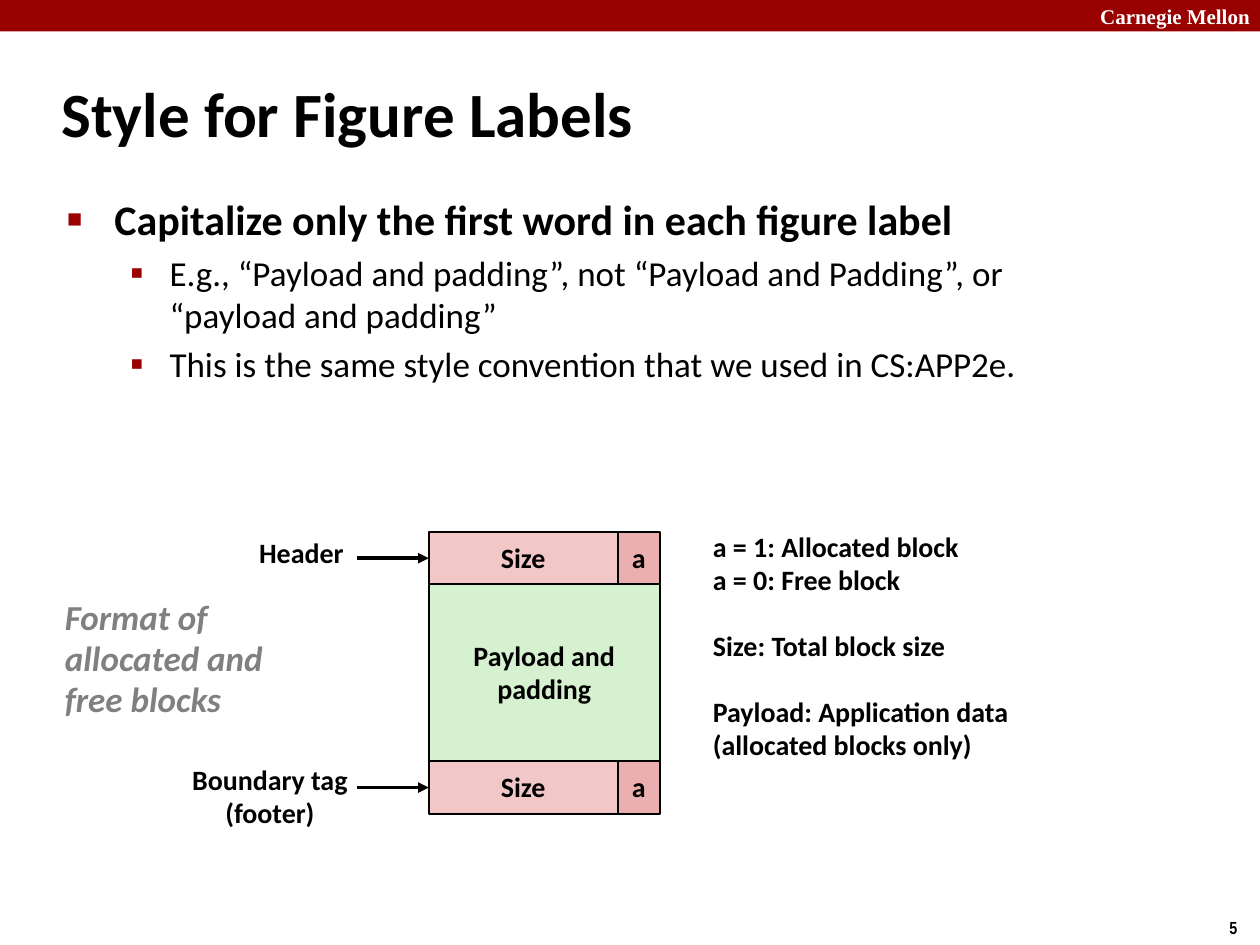
from dataclasses import dataclass
from typing import Any

import pptx
import pptx.dml.color
import pptx.enum.shapes
import pptx.enum.text
import pptx.oxml
import pptx.oxml.ns
import pptx.util

Pt = pptx.util.Pt
ALIGN = pptx.enum.text.PP_ALIGN
ANCHOR = pptx.enum.text.MSO_ANCHOR
SHAPE = pptx.enum.shapes.MSO_SHAPE
NS = pptx.oxml.ns.nsdecls("a")
COLORS = {
    "bar": "990000", "white": "FFFFFF", "black": "000000", "gray": "808080",
    "size": "F1C7C7", "flag": "EBAFAF", "payload": "D5F1CF",
}
LABEL = {"name": "Calibri", "size": Pt(16), "bold": True}
CAPTION = {"name": "Calibri", "size": Pt(20), "bold": True, "italic": True}
TITLE = {"name": "Calibri", "size": Pt(36), "bold": True}
HEAD = {"name": "Calibri", "size": Pt(24), "bold": True}
POINT = {"name": "Calibri", "size": Pt(20), "bold": False}
SCHOOL = {"name": "Times New Roman", "size": Pt(12), "bold": True}
NUMBER = {"name": "Arial Narrow", "size": Pt(10), "bold": True}


@dataclass
class Line:
    text: str
    before: float = 0


@dataclass
class Box:
    x: float
    y: float
    w: float
    h: float
    lines: list[Line]
    font: dict[str, Any]
    color: str = "black"
    align: Any = ALIGN.LEFT
    anchor: Any = ANCHOR.TOP
    spacing: float = 0.98
    margin_right: float = 7.2


@dataclass
class Bullet:
    text: str
    font: dict[str, Any]
    char: str
    percent: int
    left: float
    hang: float
    before: float


@dataclass
class Cell:
    x: float
    y: float
    w: float
    h: float
    fill: str
    lines: list[Line]


def rgb(key: str) -> Any:
    return pptx.dml.color.RGBColor.from_string(COLORS[key])


def set_font(font: Any, values: dict[str, Any], color: str) -> None:
    for name, value in values.items():
        setattr(font, name, value)
    font.color.rgb = rgb(color)


def write(tf: Any, box: Box) -> None:
    tf.word_wrap = False
    tf.vertical_anchor = box.anchor
    tf.margin_right = Pt(box.margin_right)
    for i, line in enumerate(box.lines):
        p = tf.paragraphs[0] if i == 0 else tf.add_paragraph()
        p.alignment = box.align
        p.line_spacing = box.spacing
        if line.before:
            p.space_before = Pt(line.before)
        r = p.add_run()
        r.text = line.text
        set_font(r.font, box.font, box.color)


def add_text(s: Any, box: Box) -> None:
    sp = s.shapes.add_textbox(Pt(box.x), Pt(box.y), Pt(box.w), Pt(box.h))
    write(sp.text_frame, box)


def add_rect(s: Any, x: float, y: float, w: float, h: float, fill: str) -> Any:
    sp = s.shapes.add_shape(SHAPE.RECTANGLE, Pt(x), Pt(y), Pt(w), Pt(h))
    sp.shadow.inherit = False
    sp.fill.solid()
    sp.fill.fore_color.rgb = rgb(fill)
    return sp


def add_cell(s: Any, c: Cell) -> Any:
    sp = add_rect(s, c.x, c.y, c.w, c.h, c.fill)
    sp.line.color.rgb = rgb("black")
    sp.line.width = Pt(1)
    write(sp.text_frame, Box(c.x, c.y, c.w, c.h, c.lines, LABEL,
                             align=ALIGN.CENTER, anchor=ANCHOR.MIDDLE))
    return sp


def add_bullets(s: Any, bullets: list[Bullet]) -> None:
    tf = s.shapes.add_textbox(Pt(31.3), Pt(107.3), Pt(622), Pt(391)).text_frame
    tf.word_wrap = True
    for i, b in enumerate(bullets):
        p = tf.paragraphs[0] if i == 0 else tf.add_paragraph()
        if b.before:
            p.space_before = Pt(b.before)
        pPr = p._p.get_or_add_pPr()
        pPr.set("marL", str(Pt(b.left)))
        pPr.set("indent", str(-Pt(b.hang)))
        for xml in (
            f'<a:buClr {NS}><a:srgbClr val="{COLORS["bar"]}"/></a:buClr>',
            f'<a:buSzPct {NS} val="{b.percent * 1000}"/>',
            f'<a:buFont {NS} typeface="Arial"/>',
            f'<a:buChar {NS} char="{b.char}"/>',
        ):
            pPr.append(pptx.oxml.parse_xml(xml))
        r = p.add_run()
        r.text = b.text
        set_font(r.font, b.font, "black")


def add_arrow(s: Any, x: float, target: Any) -> None:
    y = target.top + target.height // 2
    cx = s.shapes.add_connector(
        pptx.enum.shapes.MSO_CONNECTOR.STRAIGHT, Pt(x), y, target.left, y)
    cx.end_connect(target, 1)
    cx.line.color.rgb = rgb("black")
    cx.line.width = Pt(2)
    cx.line._get_or_add_ln().append(
        pptx.oxml.parse_xml(f'<a:tailEnd {NS} type="triangle"/>'))
    cx._element.spPr.append(pptx.oxml.parse_xml(f"<a:effectLst {NS}/>"))


def main() -> None:
    prs = pptx.Presentation()
    prs.slide_width, prs.slide_height = Pt(720), Pt(540)
    s = prs.slides.add_slide(prs.slide_layouts[6])

    add_rect(s, 0, 0, 720, 18, "bar").line.fill.background()

    add_bullets(s, [
        Bullet("Capitalize only the first word in each figure label",
               HEAD, "■", 60, 27, 27, 0),
        Bullet("E.g., “Payload and padding”, not “Payload and Padding”, or "
               "“payload and padding”", POINT, "▪", 110, 58.5, 22.5, 4),
        Bullet("This is the same style convention that we used in CS:APP2e.",
               POINT, "▪", 110, 58.5, 22.5, 4),
    ])

    left, size_w, flag_w, tag_h = 245, 108, 24, 30
    header_y, footer_y = 304, 435
    payload_y = header_y + tag_h
    add_cell(s, Cell(left, payload_y, size_w + flag_w, footer_y - payload_y,
                     "payload", [Line("Payload and"), Line("padding")]))
    for y in (header_y, footer_y):
        size = add_cell(s, Cell(left, y, size_w, tag_h, "size", [Line("Size")]))
        add_cell(s, Cell(left + size_w, y, flag_w, tag_h, "flag", [Line("a")]))
        add_arrow(s, 204, size)

    for box in (
        Box(600, 0, 120, 18, [Line("Carnegie Mellon")], SCHOOL, "white",
            ALIGN.RIGHT, ANCHOR.MIDDLE, 1, 5.7),
        Box(695.5, 520.5, 24.5, 19.5, [Line("5")], NUMBER, spacing=1),
        Box(28, 34, 598, 60, [Line("Style for Figure Labels")], TITLE,
            anchor=ANCHOR.MIDDLE, spacing=1),
        Box(30, 338, 128, 78, [Line("Format of"), Line("allocated and"),
                               Line("free blocks")], CAPTION, "gray"),
        Box(141, 303.5, 63, 27, [Line("Header")], LABEL),
        Box(102, 433, 104.5, 45, [Line("Boundary tag"), Line("(footer)")],
            LABEL, align=ALIGN.CENTER),
        Box(400.3, 300, 185, 160, [
            Line("a = 1: Allocated block"), Line("a = 0: Free block"),
            Line("Size: Total block size", 19),
            Line("Payload: Application data", 19),
            Line("(allocated blocks only)")], LABEL),
    ):
        add_text(s, box)

    prs.save("out.pptx")


if __name__ == "__main__":
    main()
